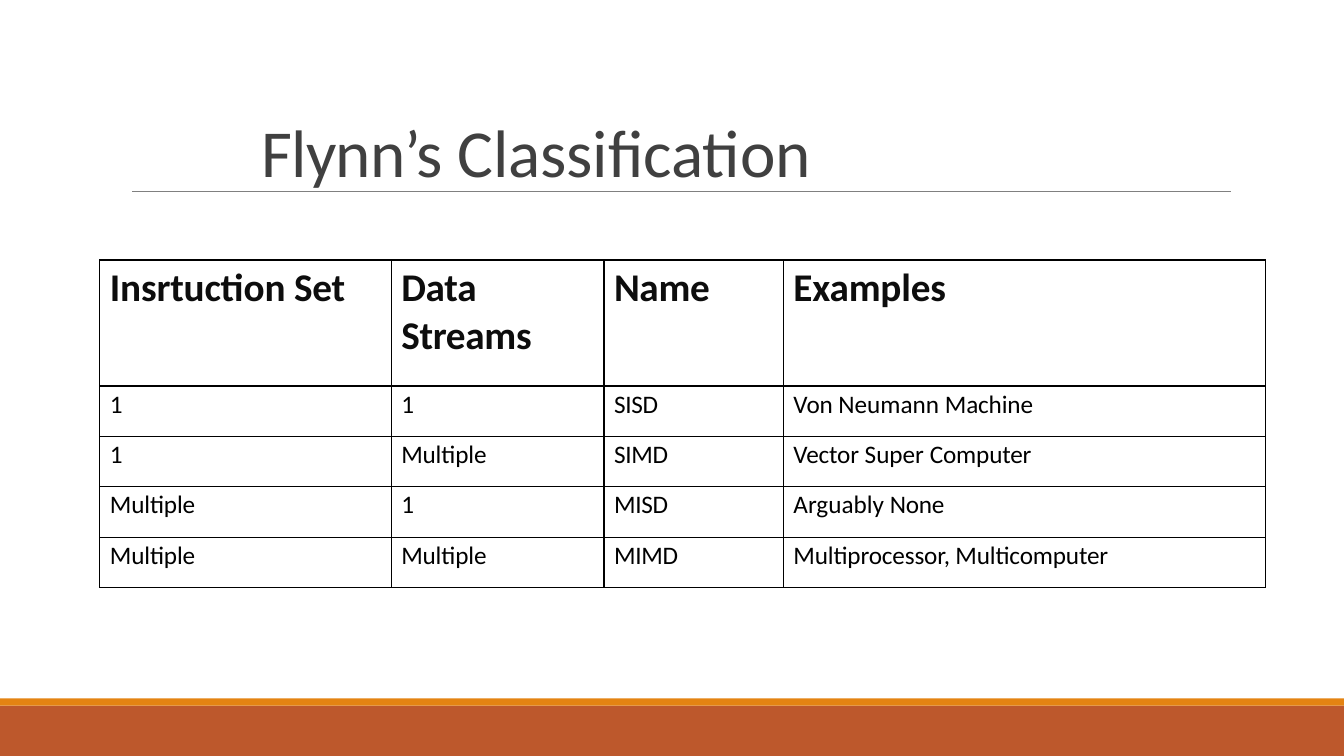
from dataclasses import dataclass
from lxml.etree import SubElement as Sub
from pptx import Presentation as Deck
from pptx.dml.color import RGBColor as Rgb
from pptx.enum.shapes import MSO_CONNECTOR as Conn, MSO_SHAPE as Shape
from pptx.enum.text import MSO_ANCHOR as Anchor, MSO_AUTO_SIZE as Fit, PP_ALIGN as Align
from pptx.oxml.ns import qn
from pptx.util import Pt

PX = 9144


@dataclass(frozen=True)
class Theme:
    """Colours, font and type sizes of the slide."""
    face: str = "Calibri"
    title: str = "404040"
    head: str = "0D0D0D"
    body: str = "000000"
    rule: str = "808080"
    grid: str = "000000"
    base: str = "BD582C"
    trim: str = "E48312"
    big: int = 48
    mid: int = 28
    small: int = 18


LOOK = Theme()
TIGHT = {"Flynn’s": -50, "1": -50, "Neumann": 0, "Super": 0, "Arguably": 0}
TIGHT.update(dict.fromkeys("Set Data Streams Name SISD SIMD MISD MIMD None".split(), -20))
COLS = (289, 211, 178, 478)
ROWS = (125, 50, 50, 50, 50)
CELLS = (
    ("Insrtuction Set", "Data Streams", "Name", "Examples"),
    ("1", "1", "SISD", "Von Neumann Machine"),
    ("1", "Multiple", "SIMD", "Vector Super Computer"),
    ("Multiple", "1", "MISD", "Arguably None"),
    ("Multiple", "Multiple", "MIMD", "Multiprocessor, Multicomputer"),
)


def px(*vals):
    """Turn px lengths into EMU."""
    return [val * PX for val in vals]


def style(item, form):
    """Set every attribute in a dict of format values."""
    for key, val in form.items():
        setattr(item, key, val)


def write(para, text, size, tint, bold=False):
    """Write a line word by word, each with its letter spacing."""
    words = text.split()
    for num, word in enumerate(words, 1):
        run = para.add_run()
        run.text = word if num == len(words) else word + " "
        style(run.font, {"name": LOOK.face, "size": Pt(size), "bold": bold})
        run.font.color.rgb = Rgb.from_string(tint)
        run._r.get_or_add_rPr().set("spc", str(TIGHT.get(word, -10)))


def add_bar(slide, top, high, tint):
    """Draw a band across the full slide width."""
    bar = slide.shapes.add_shape(Shape.RECTANGLE, *px(0, top, 1333, high))
    bar.shadow.inherit = False
    bar.fill.solid()
    bar.fill.fore_color.rgb = Rgb.from_string(tint)
    bar.line.fill.background()


def add_rule(slide, left, right, top):
    """Draw the thin line under the title."""
    rule = slide.shapes.add_connector(Conn.STRAIGHT, *px(left, top, right, top))
    rule.line.color.rgb = Rgb.from_string(LOOK.rule)
    rule.line.width = Pt(0.5)
    Sub(rule._element.spPr, qn("a:effectLst"))


def add_title(slide, text):
    """Place and fill the title."""
    box = slide.shapes.title
    style(box, dict(zip(("left", "top", "width", "height"), px(120, 31, 1100, 159))))
    left, top = px(139, 49)
    style(box.text_frame, {
        "margin_left": left, "margin_top": top, "margin_right": 0, "margin_bottom": 0,
        "vertical_anchor": Anchor.BOTTOM, "auto_size": Fit.NONE, "word_wrap": True})
    para = box.text_frame.paragraphs[0]
    style(para, {"alignment": Align.LEFT, "line_spacing": 0.85})
    write(para, text, LOOK.big, LOOK.title)


def frame(cell):
    """Draw the four borders of a cell and clear its fill."""
    props = cell._tc.get_or_add_tcPr()
    for side in ("lnL", "lnR", "lnT", "lnB"):
        edge = Sub(props, qn("a:" + side), w=str(Pt(1)))
        Sub(Sub(edge, qn("a:solidFill")), qn("a:srgbClr"), val=LOOK.grid)
    cell.fill.background()


def add_grid(slide):
    """Add the table of machine classes."""
    grid = slide.shapes.add_table(len(ROWS), len(COLS), *px(99, 258, sum(COLS), sum(ROWS))).table
    style(grid, {"first_row": False, "horz_banding": False})
    for col, wide in zip(grid.columns, px(*COLS)):
        col.width = wide
    for row, high in zip(grid.rows, px(*ROWS)):
        row.height = high
    for r, line in enumerate(CELLS):
        for c, text in enumerate(line):
            cell = grid.cell(r, c)
            left, top = px(10, 3 if r else 4 if c else 6)
            style(cell, {"margin_left": left, "margin_top": top,
                         "margin_right": 0, "margin_bottom": 0})
            frame(cell)
            para = cell.text_frame.paragraphs[0]
            if r:
                write(para, text, LOOK.small, LOOK.body)
            else:
                write(para, text, LOOK.mid, LOOK.head, True)
    grid.cell(0, 0).text_frame.paragraphs[0].line_spacing = Pt(33)


def main():
    """Build the slide and save it."""
    deck = Deck()
    style(deck, dict(zip(("slide_width", "slide_height"), px(1333, 750))))
    slide = deck.slides.add_slide(deck.slide_layouts[5])
    add_bar(slide, 700, 50, LOOK.base)
    add_bar(slide, 693, 7, LOOK.trim)
    add_rule(slide, 131, 1221, 190)
    add_title(slide, "Flynn’s Classification")
    add_grid(slide)
    deck.save("out.pptx")


if __name__ == "__main__":
    main()
